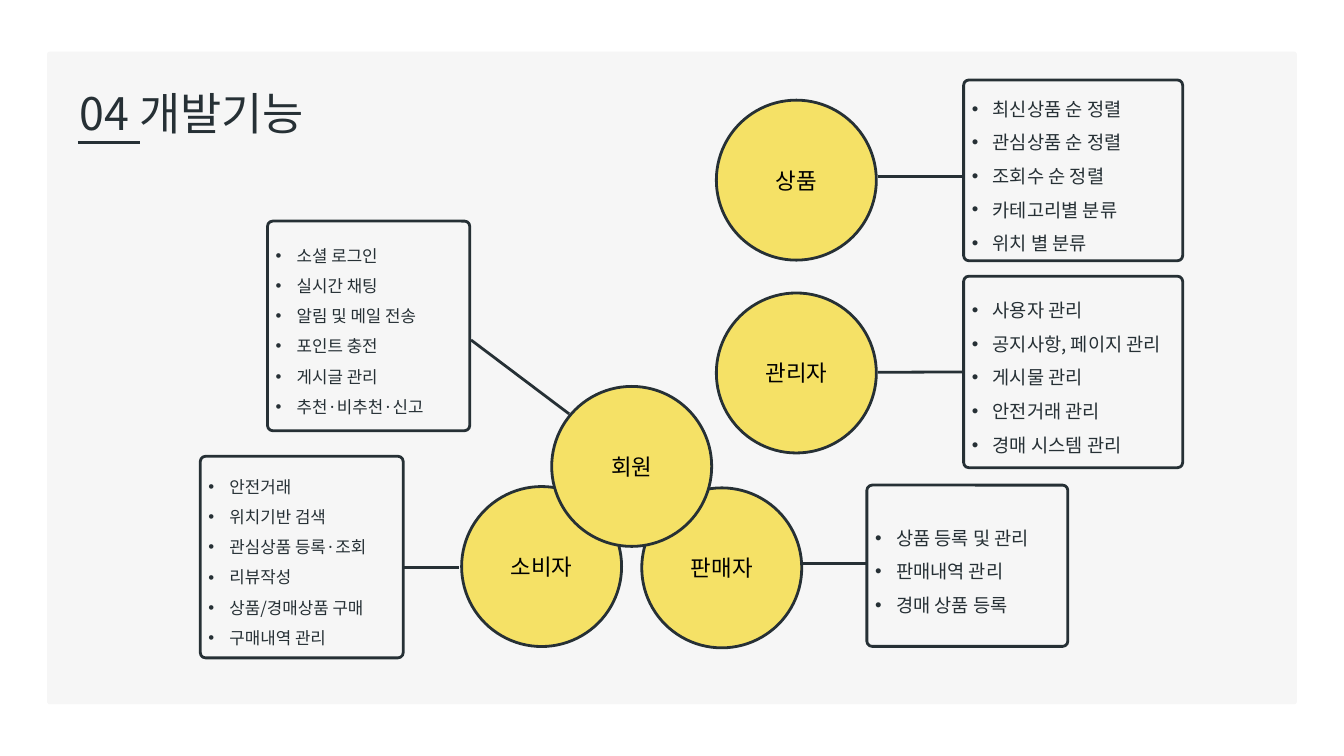
import pptx
import pptx.util
import pptx.dml.color
import pptx.enum.shapes
import pptx.enum.text
import pptx.oxml.ns
from lxml import etree

Pt = pptx.util.Pt
KIND = pptx.enum.shapes.MSO_SHAPE
ALIGN = pptx.enum.text.PP_ALIGN
FONT = "Noto Sans CJK KR"
HEX = {"panel": "F6F6F6", "disc": "F5E166", "ink": "263035", "black": "000000"}
DISC = 171.4
INDENT = 22.5

TOPICS = [
    ("관리자", (767.5, 313.9), (1032.5, 295.9, 234.7, 205.2), 20,
     (940.3, 398.9, 1032.5, 398.5), True,
     ["사용자 관리", "공지사항, 페이지 관리", "게시물 관리", "안전거래 관리", "경매 시스템 관리"]),
    ("판매자", (687.6, 522.7), (928.8, 519.8, 215.3, 172.8), 20,
     (859, 603.4, 928.8, 603.4), False,
     ["상품 등록 및 관리", "판매내역 관리", "경매 상품 등록"]),
    ("소비자", (494.6, 521.3), (214.6, 488.9, 217.4, 216), 18,
     (491.8, 608.4, 432, 608.4), False,
     ["안전거래", "위치기반 검색", "관심상품 등록·조회", "리뷰작성", "상품/경매상품 구매", "구매내역 관리"]),
    ("회원", (591.1, 414), (286.6, 236.9, 216.7, 224.6), 18,
     (609.8, 443.5, 504.7, 364.3), False,
     ["소셜 로그인", "실시간 채팅", "알림 및 메일 전송", "포인트 충전", "게시글 관리", "추천·비추천·신고"]),
    ("상품", (767.5, 107.3), (1032.5, 85.7, 234.7, 193.7), 20,
     (941, 189.4, 1031.8, 189.4), False,
     ["최신상품 순 정렬", "관심상품 순 정렬", "조회수 순 정렬", "카테고리별 분류", "위치 별 분류"]),
]


def color(name):
    """Return the named colour."""
    return pptx.dml.color.RGBColor.from_string(HEX[name])


def style(para, size, ink):
    """Set the font of a paragraph, Korean letters included."""
    para.font.size = Pt(size)
    para.font.color.rgb = color(ink)
    para.font.name = FONT
    props = para._p.get_or_add_pPr().find(pptx.oxml.ns.qn("a:defRPr"))
    etree.SubElement(props, pptx.oxml.ns.qn("a:ea"), typeface=FONT)


def shape(slide, kind, box, fill=None, edge=None, curve=None):
    """Add a preset shape with an optional fill, edge and corner radius."""
    item = slide.shapes.add_shape(kind, *map(Pt, box))
    item.shadow.inherit = False
    if curve:
        item.adjustments[0] = curve / min(box[2:])
    if fill:
        item.fill.solid()
        item.fill.fore_color.rgb = color(fill)
    else:
        item.fill.background()
    if edge:
        item.line.color.rgb = color(edge)
        item.line.width = Pt(3)
    else:
        item.line.fill.background()
    item.text_frame.word_wrap = True
    item.text_frame.vertical_anchor = pptx.enum.text.MSO_ANCHOR.MIDDLE
    return item


def wire(slide, ends):
    """Add a straight dark line."""
    line = slide.shapes.add_connector(
        pptx.enum.shapes.MSO_CONNECTOR.STRAIGHT, *map(Pt, ends))
    line.line.color.rgb = color("ink")
    line.line.width = Pt(3)
    etree.SubElement(line._element.spPr, pptx.oxml.ns.qn("a:effectLst"))
    return line


def disc(slide, spot, name):
    """Add a yellow circle with its name."""
    item = shape(slide, KIND.OVAL, (*spot, DISC, DISC), "disc", "ink")
    para = item.text_frame.paragraphs[0]
    para.text = name
    para.alignment = ALIGN.CENTER
    style(para, 24, "black")


def card(slide, box, size, rows):
    """Add an outlined box with a bullet list."""
    item = shape(slide, KIND.ROUNDED_RECTANGLE, box, edge="ink", curve=5.6)
    frame = item.text_frame
    for num, row in enumerate(rows):
        para = frame.add_paragraph() if num else frame.paragraphs[0]
        para.text = row
        para.alignment = ALIGN.LEFT
        para.line_spacing = 1.5
        props = para._p.get_or_add_pPr()
        props.set("marL", str(Pt(INDENT)))
        props.set("indent", str(-Pt(INDENT)))
        etree.SubElement(props, pptx.oxml.ns.qn("a:buFont"), typeface="Arial")
        etree.SubElement(props, pptx.oxml.ns.qn("a:buChar"), char="•")
        style(para, size, "ink")
    return item


def topic(slide, name, spot, box, size, ends, joined, rows):
    """Add a circle, its list and the line between them."""
    disc(slide, spot, name)
    target = card(slide, box, size, rows)
    line = wire(slide, ends)
    if joined:
        line.end_connect(target, 1)


def title(slide, box, text):
    """Add the heading with a short rule under its number."""
    left, top, wide, high = box
    item = slide.shapes.add_textbox(*map(Pt, box))
    item.text_frame.word_wrap = True
    para = item.text_frame.paragraphs[0]
    para.text = text
    style(para, 48, "ink")
    base = top + high - 0.7
    wire(slide, (left + 5.7, base, left + 72, base))


def main():
    """Build and save the slide."""
    deck = pptx.Presentation()
    deck.slide_width, deck.slide_height = Pt(1440), Pt(810)
    slide = deck.slides.add_slide(deck.slide_layouts[6])
    shape(slide, KIND.ROUNDED_RECTANGLE, (50.4, 55.4, 1339.2, 699.1), "panel", curve=2.9)
    for entry in TOPICS:
        topic(slide, *entry)
    title(slide, (77.8, 87.8, 617.8, 65.5), "04 개발기능")
    deck.save("out.pptx")


if __name__ == "__main__":
    main()
